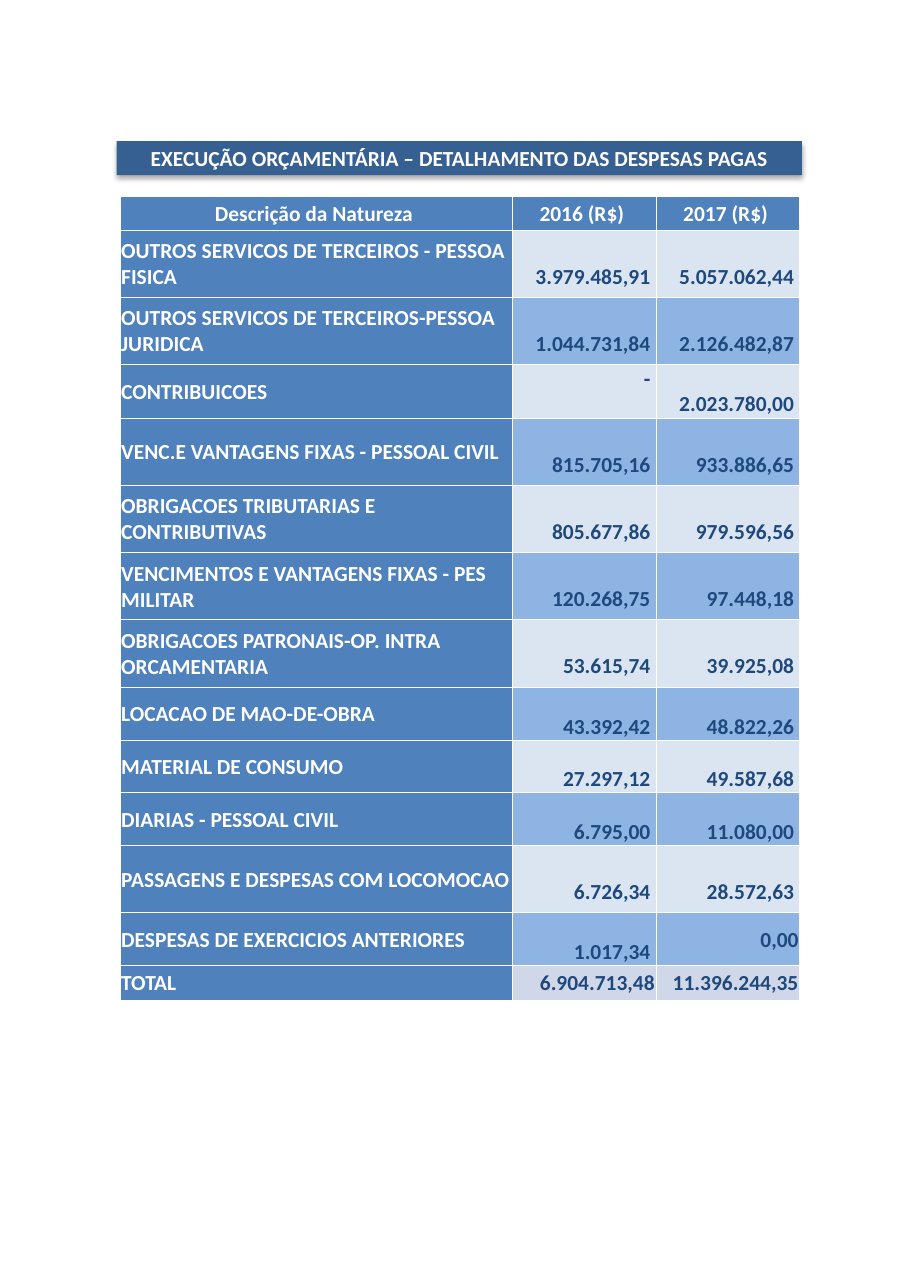
from pptx import Presentation
from pptx.dml.color import RGBColor
from pptx.enum.shapes import MSO_SHAPE
from pptx.enum.text import MSO_ANCHOR, PP_ALIGN
from pptx.oxml import parse_xml
from pptx.oxml.ns import nsdecls
from pptx.util import Inches, Pt

WHITE, NAVY = "FFFFFF", "1F497D"
HEADER_FILL, LABEL_FILL, TOTAL_FILL = "4F81BC", "4F81BD", "D0D7E8"
BAND_FILLS = ["DBE5F1", "8DB4E3"]
SHORT, MEDIUM, TALL = 0.31, 0.48, 0.61
LABEL_WIDTH = 3.56
EDGE, VALUE_GAP, LINE_DROP = 0.01, 0.05, 0.24

HEADER = ["Descrição da Natureza", "2016 (R$)", "2017 (R$)"]
EXPENSES = [
    ("OUTROS SERVICOS DE TERCEIROS - PESSOA FISICA", "3.979.485,91", "5.057.062,44", TALL),
    ("OUTROS SERVICOS DE TERCEIROS-PESSOA JURIDICA", "1.044.731,84", "2.126.482,87", TALL),
    ("CONTRIBUICOES", "-", "2.023.780,00", MEDIUM),
    ("VENC.E VANTAGENS FIXAS - PESSOAL CIVIL", "815.705,16", "933.886,65", TALL),
    ("OBRIGACOES TRIBUTARIAS E CONTRIBUTIVAS", "805.677,86", "979.596,56", TALL),
    ("VENCIMENTOS E VANTAGENS FIXAS - PES MILITAR", "120.268,75", "97.448,18", TALL),
    ("OBRIGACOES PATRONAIS-OP. INTRA ORCAMENTARIA", "53.615,74", "39.925,08", TALL),
    ("LOCACAO DE MAO-DE-OBRA", "43.392,42", "48.822,26", MEDIUM),
    ("MATERIAL DE CONSUMO", "27.297,12", "49.587,68", MEDIUM),
    ("DIARIAS - PESSOAL CIVIL", "6.795,00", "11.080,00", MEDIUM),
    ("PASSAGENS E DESPESAS COM LOCOMOCAO", "6.726,34", "28.572,63", TALL),
    ("DESPESAS DE EXERCICIOS ANTERIORES", "1.017,34", "0,00", MEDIUM),
]
TOTAL = ["TOTAL", "6.904.713,48", "11.396.244,35"]


def color(value):
    return RGBColor.from_string(value)


def write(text_frame, text, text_color, align):
    para = text_frame.paragraphs[0]
    para.text = text
    para.alignment = align
    font = para.runs[0].font
    font.name, font.size, font.bold = "Calibri", Pt(14), True
    font.color.rgb = color(text_color)


def add_title(slide, left, top, width, height):
    bar = slide.shapes.add_shape(MSO_SHAPE.RECTANGLE, Inches(left), Inches(top),
                                 Inches(width), Inches(height))
    bar.fill.solid()
    bar.fill.fore_color.rgb = color("376092")
    bar.line.fill.background()
    # Soft shadow below the bar
    bar.shadow.inherit = False
    bar.element.spPr.find("{*}effectLst").append(parse_xml(
        f'<a:outerShdw {nsdecls("a")} blurRad="{Pt(3.5)}" dist="{Pt(2.2)}" dir="5400000" '
        'rotWithShape="0"><a:srgbClr val="000000"><a:alpha val="32000"/></a:srgbClr>'
        '</a:outerShdw>'))
    bar.text_frame.vertical_anchor = MSO_ANCHOR.MIDDLE
    bar.text_frame.word_wrap = True
    write(bar.text_frame, "EXECUÇÃO ORÇAMENTÁRIA – DETALHAMENTO DAS DESPESAS PAGAS",
          WHITE, PP_ALIGN.CENTER)


def fill_cell(cell, text, fill, text_color, align, right=EDGE, top=EDGE, bottom=0):
    cell.margin_left, cell.margin_right = Inches(EDGE), Inches(right)
    cell.margin_top, cell.margin_bottom = Inches(top), Inches(bottom)
    cell.vertical_anchor = MSO_ANCHOR.MIDDLE
    write(cell.text_frame, text, text_color, align)
    # Borders come before the fill in the cell properties
    properties = cell._tc.get_or_add_tcPr()
    for side in ("lnL", "lnR", "lnT", "lnB"):
        properties.append(parse_xml(
            f'<a:{side} {nsdecls("a")} w="{Pt(0.5)}"><a:solidFill>'
            f'<a:srgbClr val="{WHITE}"/></a:solidFill></a:{side}>'))
    cell.fill.solid()
    cell.fill.fore_color.rgb = color(fill)


def value_margins(value):
    """Amounts sit on the lower line; a dash sits on the upper one."""
    if value == "0,00":
        return {}
    if value == "-":
        return {"right": VALUE_GAP, "bottom": LINE_DROP}
    return {"right": VALUE_GAP, "top": LINE_DROP}


def add_expense_table(slide, left, top, width):
    heights = [SHORT, *(expense[-1] for expense in EXPENSES), SHORT]
    table = slide.shapes.add_table(len(heights), len(HEADER), Inches(left), Inches(top),
                                   Inches(width), Inches(sum(heights))).table
    table.first_row = table.horz_banding = False
    value_width = (width - LABEL_WIDTH) / 2
    for column, column_width in zip(table.columns, [LABEL_WIDTH, value_width, value_width]):
        column.width = Inches(column_width)
    for row, height in zip(table.rows, heights):
        row.height = Inches(height)

    # Header row
    for index, heading in enumerate(HEADER):
        fill_cell(table.cell(0, index), heading, HEADER_FILL, WHITE, PP_ALIGN.CENTER,
                  right=VALUE_GAP)

    # Expense rows in alternating bands
    for number, (label, *values, _) in enumerate(EXPENSES, 1):
        fill_cell(table.cell(number, 0), label, LABEL_FILL, WHITE, PP_ALIGN.LEFT)
        for index, value in enumerate(values, 1):
            fill_cell(table.cell(number, index), value, BAND_FILLS[(number - 1) % 2],
                      NAVY, PP_ALIGN.RIGHT, **value_margins(value))

    # Total row
    last = len(heights) - 1
    fill_cell(table.cell(last, 0), TOTAL[0], HEADER_FILL, WHITE, PP_ALIGN.LEFT)
    for index, value in enumerate(TOTAL[1:], 1):
        fill_cell(table.cell(last, index), value, TOTAL_FILL, NAVY, PP_ALIGN.RIGHT)


def main():
    deck = Presentation()
    deck.slide_width, deck.slide_height = Inches(8.27), Inches(11.69)
    slide = deck.slides.add_slide(deck.slide_layouts[6])
    add_title(slide, 1.06, 1.28, 6.22, 0.31)
    add_expense_table(slide, 1.09, 1.78, 6.17)
    deck.save("out.pptx")


if __name__ == "__main__":
    main()
